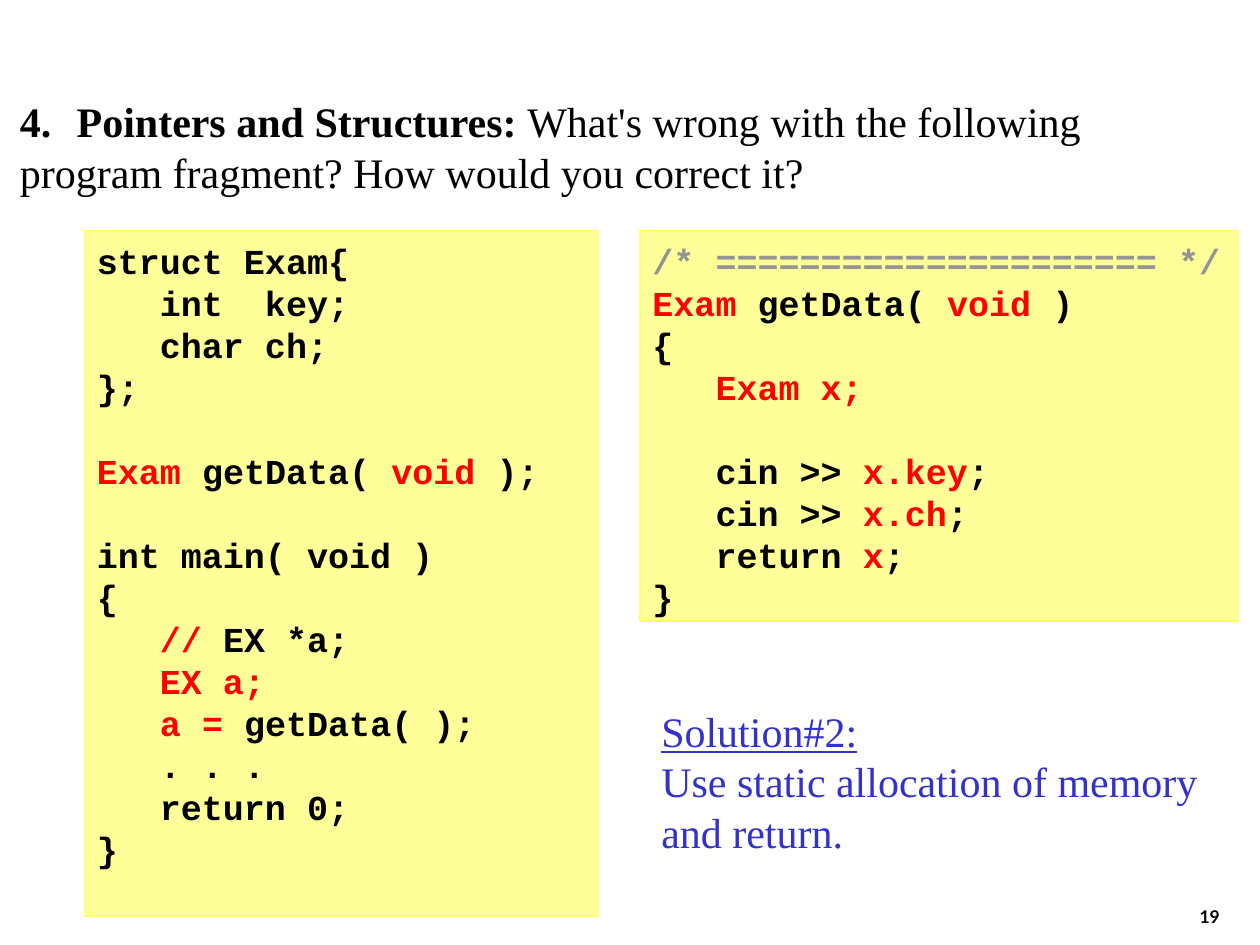
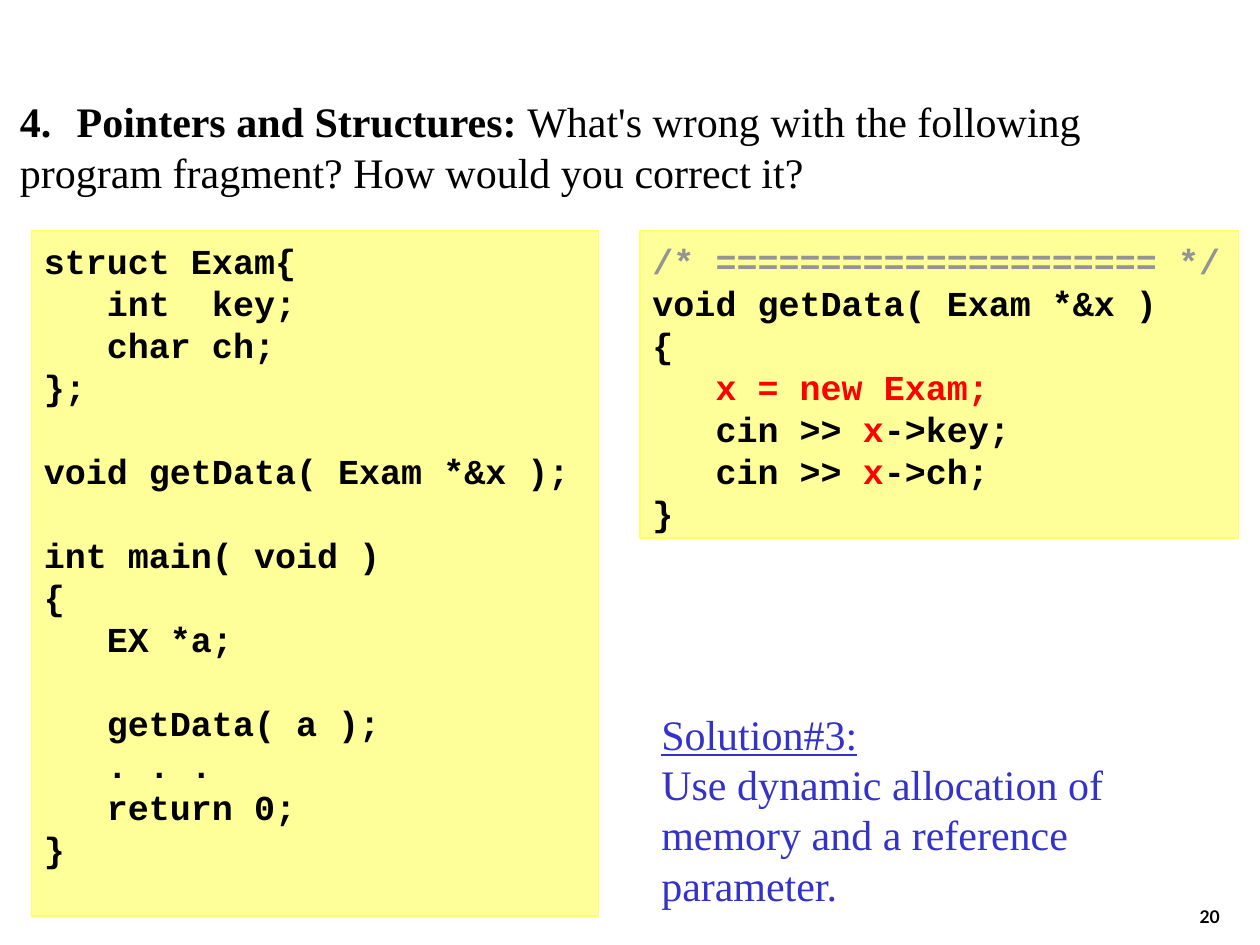
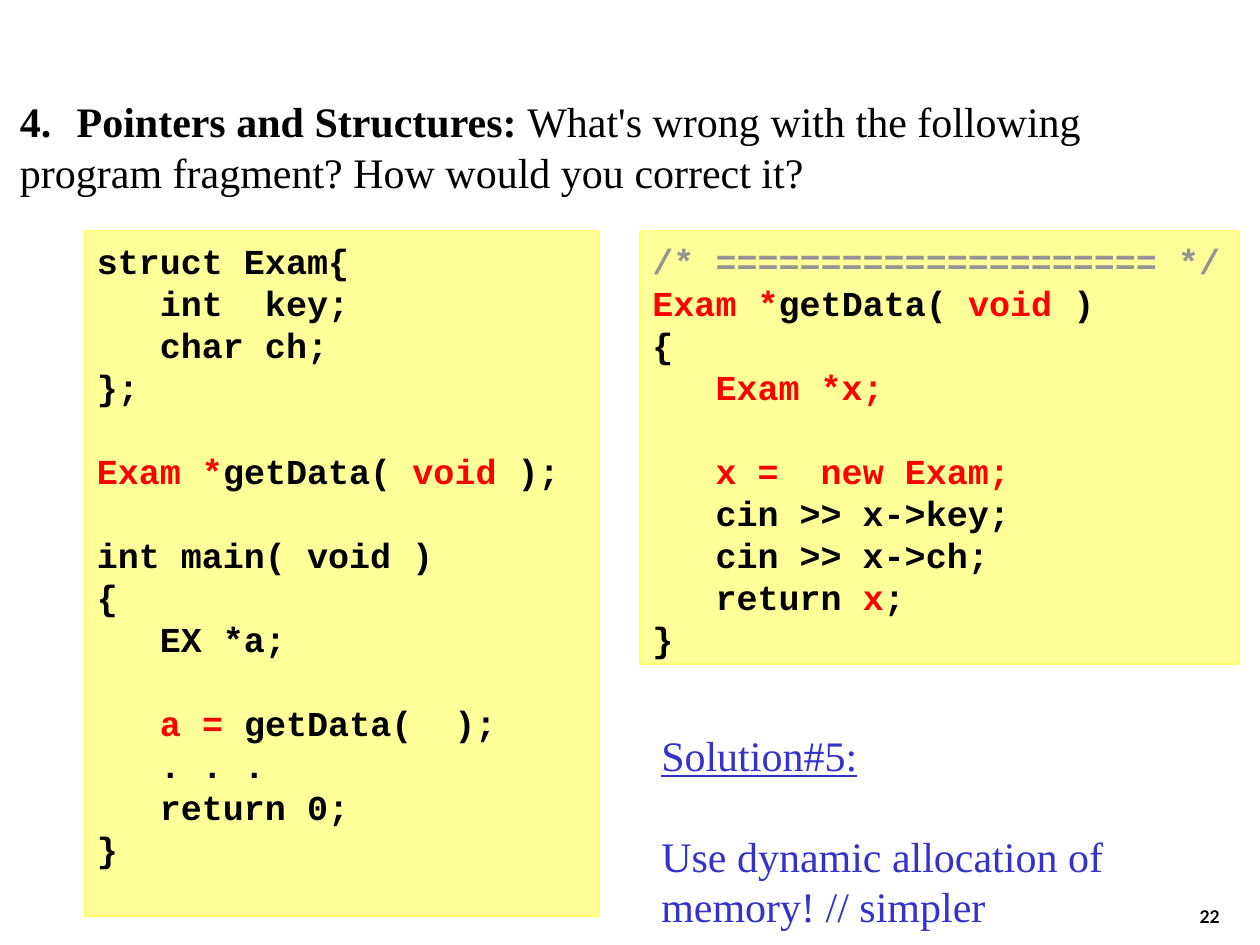
from pptx import Presentation
from pptx.dml.color import RGBColor
from pptx.enum.shapes import MSO_SHAPE
from pptx.enum.text import MSO_ANCHOR, PP_ALIGN
from pptx.util import Inches, Pt

BLACK, RED, GREY, BLUE = "000000", "FF0000", "949494", "3333CC"
CODE_FILL, CODE_LINE = "FFFF99", "FFFF66"
SERIF, MONO, SANS = "Times New Roman", "Courier New", "Lato"
LINE_HEIGHT = 1.2
CODE_TOP, CODE_SIZE, BODY_SIZE = 1.83, 20, 24
MAIN_RIGHT = 4.75

STRUCT = """struct Exam{
   int  key;
   char ch;
};

"""
MAIN_OPEN = """

int main( void )
{
"""
MAIN_CLOSE = """
   . . .
   return 0;
}"""
RULE = "/* ===================== */\n"


def color(code):
    return RGBColor.from_string(code)


class ExamDeck:
    def __init__(self):
        self.deck = Presentation()
        self.deck.slide_width = Inches(10)
        self.deck.slide_height = Inches(7.5)
        self.slide = None

    def new_slide(self, number):
        self.slide = self.deck.slides.add_slide(self.deck.slide_layouts[6])
        self.page_number(number)
        self.question()

    def frame(self, shape, top_inset=0.07):
        text_frame = shape.text_frame
        text_frame.word_wrap = True
        text_frame.vertical_anchor = MSO_ANCHOR.TOP
        text_frame.margin_left = text_frame.margin_right = Inches(0.1)
        text_frame.margin_top = Inches(top_inset)
        text_frame.margin_bottom = Inches(0.05)
        return text_frame

    def text_box(self, left, top, width, height):
        area = [Inches(length) for length in (left, top, width, height)]
        return self.frame(self.slide.shapes.add_textbox(*area))

    def run(self, paragraph, text, font, size, ink, bold=False, underline=False):
        run = paragraph.add_run()
        run.text = text
        run.font.name = font
        run.font.size = Pt(size)
        run.font.bold = bold
        run.font.underline = underline
        run.font.color.rgb = color(ink)

    def lines(self, text_frame, count, size):
        for _ in range(count - 1):
            text_frame.add_paragraph()
        for paragraph in text_frame.paragraphs:
            paragraph.alignment = PP_ALIGN.LEFT
            paragraph.line_spacing = Pt(size * LINE_HEIGHT)
        return text_frame.paragraphs

    def page_number(self, number):
        footer = self.text_box(7.7, 6.91, 2.08, 0.5)
        footer.vertical_anchor = MSO_ANCHOR.BOTTOM
        paragraph = footer.paragraphs[0]
        paragraph.alignment = PP_ALIGN.RIGHT
        self.run(paragraph, str(number), SANS, 10, BLACK, bold=True)

    def question(self):
        heading = self.text_box(0.06, 0.69, 9.71, 0.9)
        first, second = self.lines(heading, 2, BODY_SIZE)
        for paragraph in (first, second):
            properties = paragraph._p.get_or_add_pPr()
            properties.set("marL", str(Inches(0.45)))
            properties.set("indent", str(-Inches(0.45)))
        self.run(first, "4.\tPointers and Structures: ", SERIF, BODY_SIZE, BLACK, bold=True)
        self.run(first, "What's wrong with the following", SERIF, BODY_SIZE, BLACK)
        self.run(second, "program fragment? How would you correct it?", SERIF, BODY_SIZE, BLACK)

    def code(self, left, width, height, source):
        panel = self.slide.shapes.add_shape(
            MSO_SHAPE.RECTANGLE, Inches(left), Inches(CODE_TOP), Inches(width), Inches(height))
        panel.shadow.inherit = False
        panel.fill.solid()
        panel.fill.fore_color.rgb = color(CODE_FILL)
        panel.line.color.rgb = color(CODE_LINE)
        panel.line.width = Pt(0.75)
        source_lines = source.split("\n")
        statements = [line for line in source_lines if line]
        paragraphs = iter(self.lines(self.frame(panel), len(statements), CODE_SIZE))
        gap = 0
        for line in source_lines:
            if not line:
                gap += CODE_SIZE * LINE_HEIGHT
                continue
            paragraph = next(paragraphs)
            if gap:
                paragraph.space_before = Pt(gap)
                gap = 0
            plain = GREY if line.startswith("/*") else BLACK
            for position, part in enumerate(line.split("|")):
                if part:
                    ink = RED if position % 2 else plain
                    self.run(paragraph, part, MONO, CODE_SIZE, ink, bold=True)

    def main_code(self, left, prototype, body):
        source = STRUCT + prototype + MAIN_OPEN + body + MAIN_CLOSE
        self.code(left, MAIN_RIGHT - left, 5.44, source)

    def function_code(self, height, body):
        self.code(5.08, 4.75, height, RULE + body)

    def solution(self, top, height, number, advice, gap=0):
        note = self.text_box(5.15, top, 4.6, height)
        heading, *rest = self.lines(note, len(advice) + 1, BODY_SIZE)
        heading.space_after = Pt(gap)
        self.run(heading, f"Solution#{number}:", SERIF, BODY_SIZE, BLUE, underline=True)
        for paragraph, sentence in zip(rest, advice):
            self.run(paragraph, sentence, SERIF, BODY_SIZE, BLUE)


def main():
    exam = ExamDeck()

    exam.new_slide(19)
    exam.main_code(0.67, "|Exam |getData( |void| );", """   |//| EX *a;
|   EX a;|
   |a =| getData( );""")
    exam.function_code(3.1, """|Exam |getData( |void| )
{
|   Exam x;|

   cin >> |x.key|;
   cin >> |x.ch|;
   return |x|;
}""")
    exam.solution(5.53, 1.3, 2, ["Use static allocation of memory", "and return."])

    exam.new_slide(20)
    exam.main_code(0.25, "void getData( Exam *&x );", """   EX *a;

   getData( a );""")
    exam.function_code(2.44, """void getData( Exam *&x )
{
   |x = new Exam;|
   cin >> |x|->key;
   cin >> |x|->ch;
}""")
    exam.solution(5.55, 1.7, 3, ["Use dynamic allocation of memory and a reference parameter."])

    exam.new_slide(22)
    exam.main_code(0.67, "|Exam *|getData( |void| );", """   EX *a;

   |a = |getData(  );""")
    exam.function_code(3.44, """|Exam *|getData( |void| )
{
|   Exam *x;|

   |x =  new Exam;|
   cin >> x->key;
   cin >> x->ch;
   return |x|;
}""")
    exam.solution(5.72, 1.7, 5, ["Use dynamic allocation of memory! // simpler"],
                  gap=BODY_SIZE * LINE_HEIGHT)

    exam.deck.save("out.pptx")


if __name__ == "__main__":
    main()
